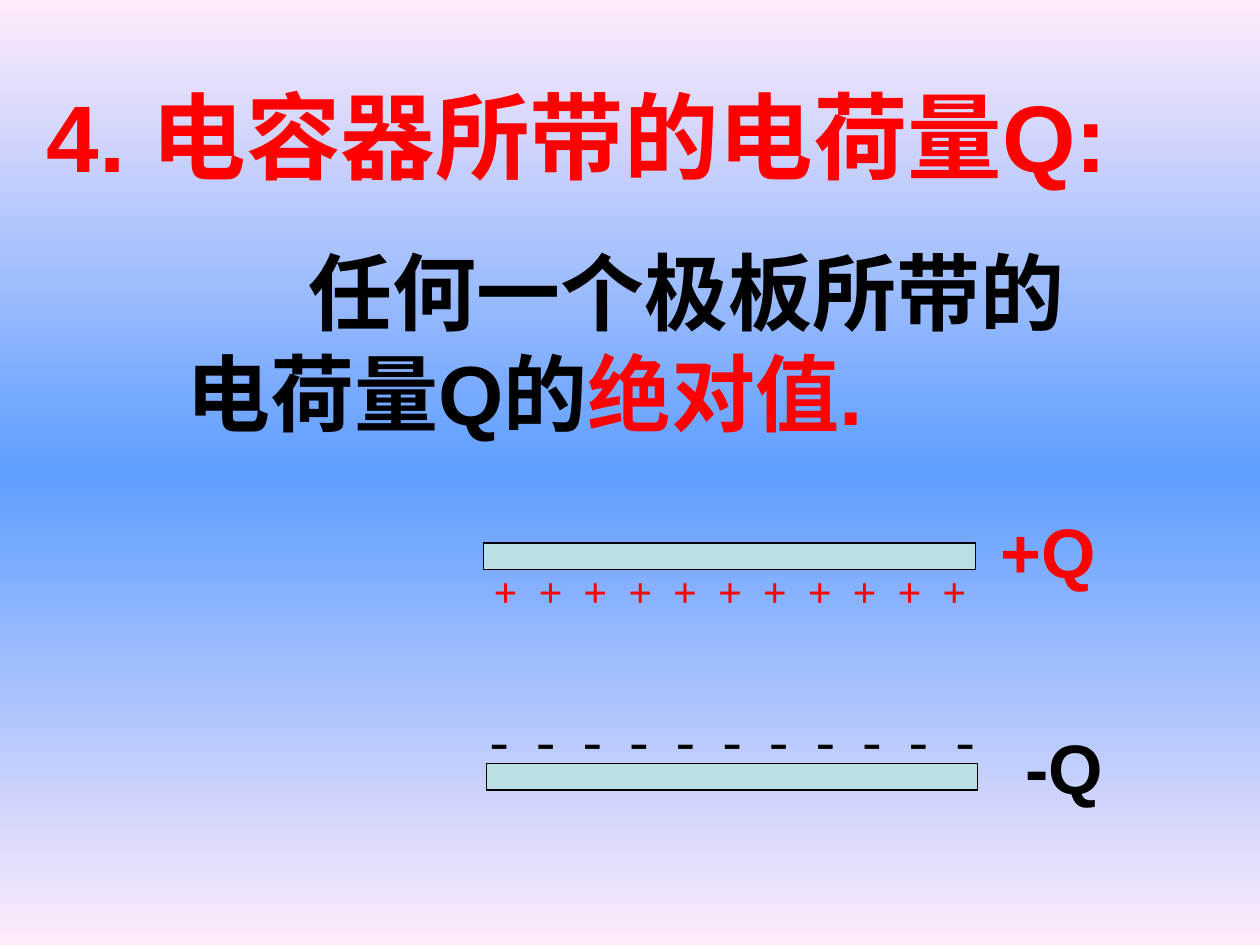
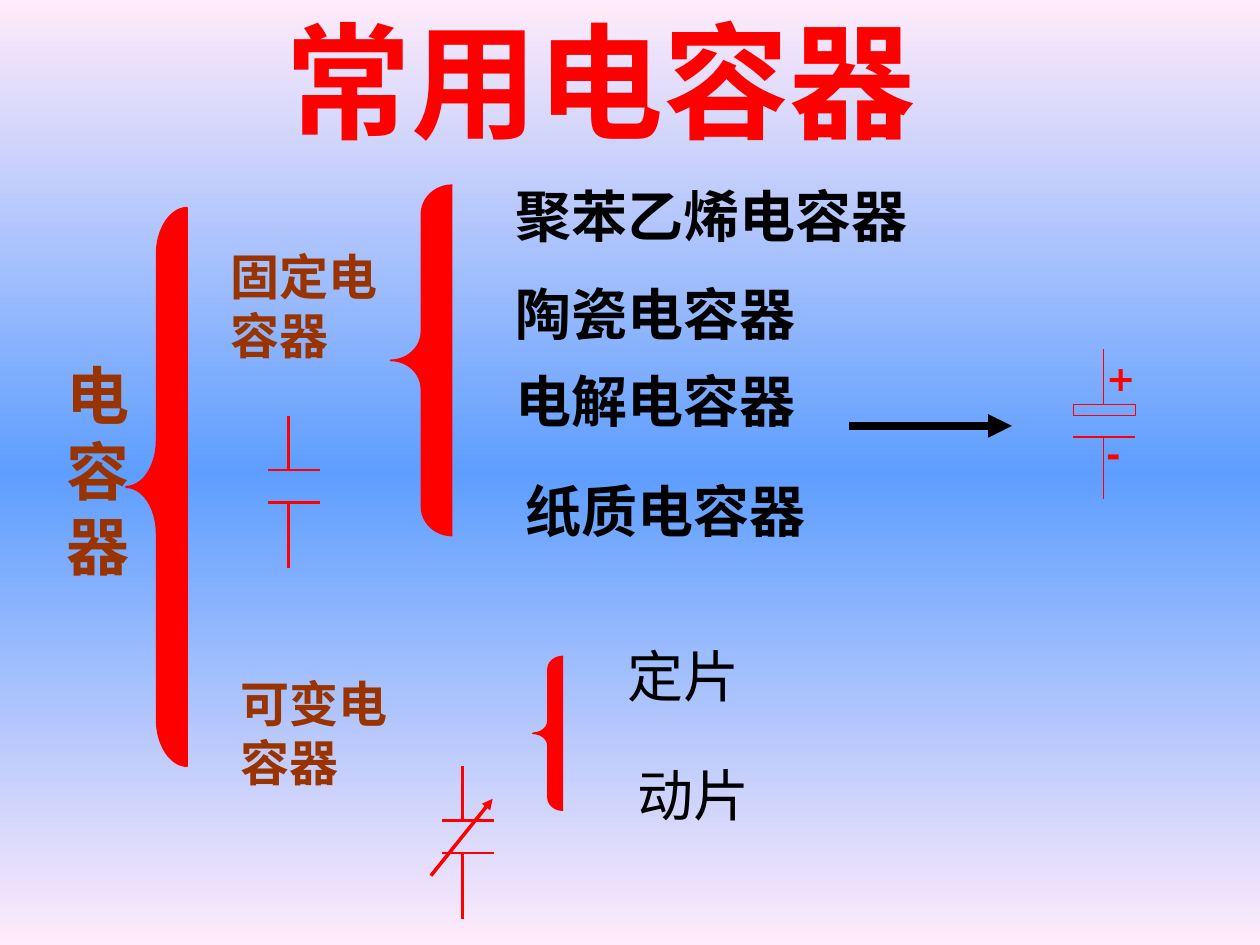
from copy import deepcopy

from pptx import Presentation
from pptx.dml.color import RGBColor
from pptx.enum.shapes import MSO_CONNECTOR, MSO_SHAPE
from pptx.enum.text import MSO_ANCHOR, PP_ALIGN
from pptx.oxml.ns import qn
from pptx.oxml.xmlchemy import OxmlElement
from pptx.util import Inches, Pt

RED, BLACK, BROWN, PLATE = "FF0000", "000000", "993300", "BBE0E3"
BACKGROUND_STOPS = [(0, "FFEBFA"), (50, "5E9EFF"), (100, "FFEBFA")]
TITLE_FONT, LABEL_FONT, CHARGE_FONT = "Arial", "DejaVu Sans", "Times New Roman"
CHARGES_PER_PLATE = 11


def color(hex_code):
    return RGBColor.from_string(hex_code)


def add_page(deck):
    """Add a blank page with the shared vertical gradient."""
    page = deck.slides.add_slide(deck.slide_layouts[6])
    fill = page.background.fill
    fill.gradient()
    fill.gradient_angle = 90
    stop_list = page.background._cSld.find(".//" + qn("a:gsLst"))
    stop_list.insert(1, deepcopy(stop_list[0]))
    for stop, (position, hex_code) in zip(fill.gradient_stops, BACKGROUND_STOPS):
        stop.position = position / 100
        stop.color.rgb = color(hex_code)
    return page


def add_text(page, box, spans, size, font=LABEL_FONT, bold=True, spacing=0):
    """Write (text, colour) spans as one paragraph and return the text frame."""
    frame = page.shapes.add_textbox(*map(Inches, box)).text_frame
    frame.word_wrap = True
    for text, hex_code in spans:
        span = frame.paragraphs[0].add_run()
        span.text = text
        span.font.name = font
        span.font.size = Pt(size)
        span.font.bold = bold
        span.font.color.rgb = color(hex_code)
        if spacing:
            span.font._element.set("spc", str(spacing * 100))
    return frame


def add_title(page, box, text, size):
    frame = add_text(page, box, [(text, RED)], size, TITLE_FONT)
    frame.vertical_anchor = MSO_ANCHOR.MIDDLE
    frame.paragraphs[0].alignment = PP_ALIGN.CENTER


def add_shape(page, kind, box, fill, line, weight):
    shape = page.shapes.add_shape(kind, *map(Inches, box))
    shape.shadow.inherit = False
    if fill:
        shape.fill.solid()
        shape.fill.fore_color.rgb = color(fill)
    else:
        shape.fill.background()
    shape.line.color.rgb = color(line)
    shape.line.width = Pt(weight)
    return shape


def add_line(page, start, end, weight=1.5, hex_code=RED, arrow=False):
    line = page.shapes.add_connector(MSO_CONNECTOR.STRAIGHT, *map(Inches, start + end))
    line.line.color.rgb = color(hex_code)
    line.line.width = Pt(weight)
    if arrow:
        head = OxmlElement("a:tailEnd")
        head.set("type", "triangle")
        line.line._get_or_add_ln().append(head)
    line._element.spPr.append(OxmlElement("a:effectLst"))


def add_brace(page, box, corner, weight=1):
    """Draw a filled left brace; corner is the height of its curves."""
    brace = add_shape(page, MSO_SHAPE.LEFT_BRACE, box, RED, RED, weight)
    brace.adjustments[0] = corner / box[2]
    brace.adjustments[1] = 0.5


def add_capacitor(page, left, top):
    for plate in (0.43, 0.69):
        add_line(page, (left, top + plate), (left + 0.41, top + plate))
    for start, end in ((0, 0.43), (0.69, 1.21)):
        add_line(page, (left + 0.16, top + start), (left + 0.16, top + end))


def add_variable_capacitor(page, left, top):
    add_capacitor(page, left, top)
    add_line(page, (left - 0.09, top + 0.87), (left + 0.4, top + 0.26), 2, arrow=True)


def add_electrolytic_capacitor(page, left, top):
    width, middle = 0.49, left + 0.24
    add_shape(page, MSO_SHAPE.RECTANGLE, (left, top + 0.44, width, 0.09), None, RED, 0.75)
    add_line(page, (left, top + 0.7), (left + width, top + 0.7))
    for start, end in ((0, 0.44), (0.7, 1.19)):
        add_line(page, (middle, top + start), (middle, top + end), 0.75)
    for sign, offset in (("+", 0.01), ("-", 0.61)):
        add_text(page, (left + 0.16, top + offset, 0.73, 0.44), [(sign, RED)], 20)


def add_charged_plates(page, left, top):
    for dx, dy in ((0, 0), (0.02, 1.75)):
        box = (left + dx, top + dy, 3.9, 0.21)
        add_shape(page, MSO_SHAPE.RECTANGLE, box, PLATE, BLACK, 0.75)
    rows = [("+", RED, -0.02, 0.13, 24, True, 3), ("-", BLACK, -0.05, 1.23, 32, False, 4)]
    for sign, hex_code, dx, dy, size, bold, spacing in rows:
        text = " ".join(sign * CHARGES_PER_PLATE)
        add_text(page, (left + dx, top + dy, 4.4, 0.64), [(text, hex_code)],
                 size, CHARGE_FONT, bold, spacing)
    for text, hex_code, dx, dy in (("+Q", RED, 4, -0.32), ("-Q", BLACK, 4.2, 1.39)):
        add_text(page, (left + dx, top + dy, 1, 0.77), [(text, hex_code)], 40, TITLE_FONT)


def build_charge_page(deck):
    page = add_page(deck)
    add_title(page, (-0.17, 0.44, 9.5, 1.25), "4. 电容器所带的电荷量Q:", 54)
    definition = [("任何一个极板所带的电荷量Q的", BLACK), ("绝对值.", RED)]
    frame = add_text(page, (1, 1.86, 7.86, 2.47), definition, 48, TITLE_FONT)
    indents = frame.paragraphs[0]._p.get_or_add_pPr()
    indents.set("marL", str(Inches(0.38)))
    indents.set("indent", str(Inches(0.97)))
    add_charged_plates(page, 3.84, 4.31)


def build_types_page(deck):
    page = add_page(deck)
    add_title(page, (0.27, 0, 9, 1.25), "常用电容器", 72)

    add_text(page, (0.43, 2.78, 0.73, 1.9), [("电容器", BROWN)], 36)
    add_brace(page, (1, 1.65, 0.49, 4.43), 0.37, 1.25)
    for text, left, top in (("固定电容器", 1.73, 1.91), ("可变电容器", 1.81, 5.3)):
        add_text(page, (left, top, 1.54, 1.04), [(text, BROWN)], 28)

    add_brace(page, (3.1, 1.47, 0.49, 2.78), 0.23)
    fixed_types = [("聚苯乙烯电容器", 3.99, 1.39), ("陶瓷电容器", 3.99, 2.17),
                   ("电解电容器", 3.99, 2.86), ("纸质电容器", 4.07, 3.73)]
    for text, left, top in fixed_types:
        add_text(page, (left, top, 3.8, 0.64), [(text, BLACK)], 32)

    add_brace(page, (4.23, 5.21, 0.24, 1.22), 0.1)
    for text, left, top in (("定片", 4.88, 5.04), ("动片", 4.96, 5.99)):
        add_text(page, (left, top, 1.29, 0.64), [(text, BLACK)], 32, bold=False)

    add_capacitor(page, 2.13, 3.3)
    add_variable_capacitor(page, 3.51, 6.08)
    add_line(page, (6.74, 3.38), (8.03, 3.38), 4.5, BLACK, arrow=True)
    add_electrolytic_capacitor(page, 8.52, 2.77)


def main():
    deck = Presentation()
    deck.slide_width, deck.slide_height = Inches(10), Inches(7.5)
    build_charge_page(deck)
    build_types_page(deck)
    deck.save("out.pptx")


if __name__ == "__main__":
    main()
